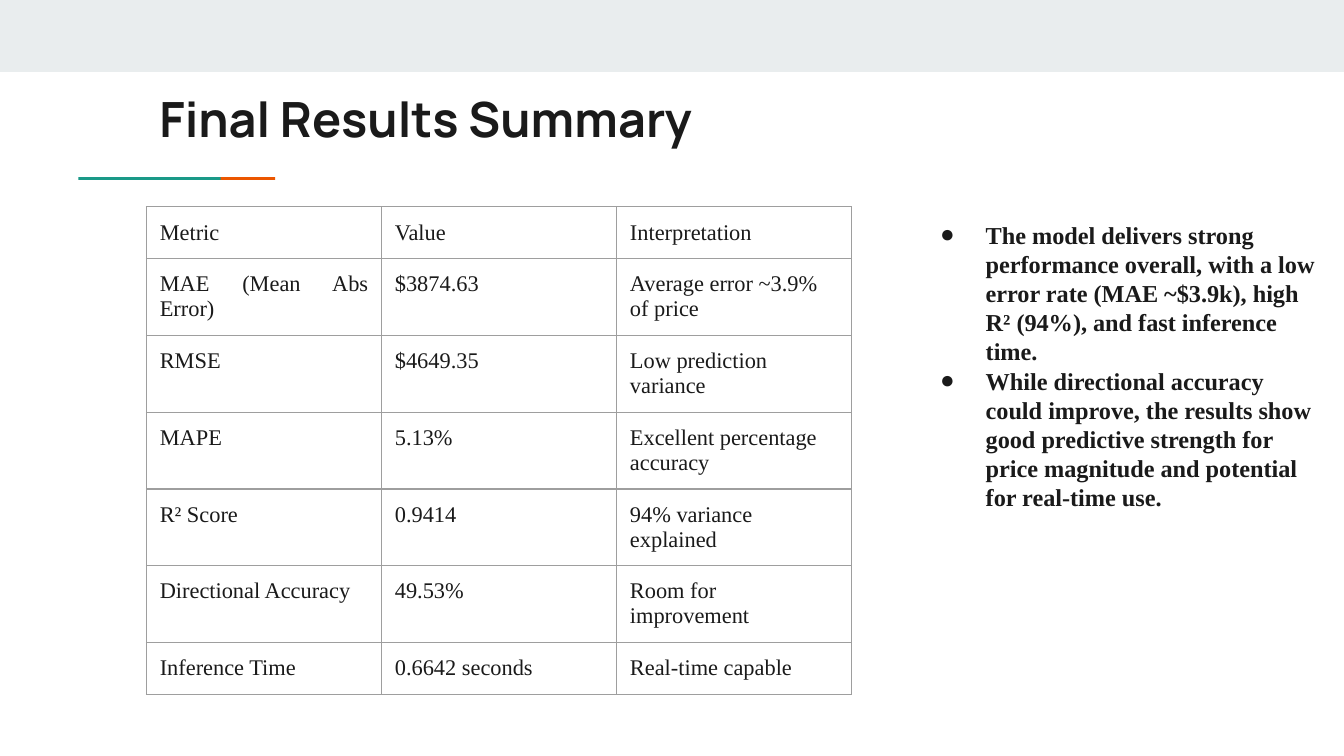
"""Build the final results summary slide with a metrics table and takeaways."""
from dataclasses import dataclass

from lxml.etree import SubElement
from pptx import Presentation
from pptx.dml.color import RGBColor
from pptx.enum.shapes import MSO_SHAPE as Shape
from pptx.enum.text import MSO_ANCHOR as Anchor, MSO_AUTO_SIZE as AutoSize, PP_ALIGN as Align
from pptx.oxml.ns import qn
from pptx.util import Cm, Pt

COLORS = {"band": "E9EDEE", "teal": "1A9988", "orange": "EB5600",
          "text": "1A1A1A", "border": "9E9E9E"}
TITLE_FONT = "Manrope"
BODY_FONT = "Times New Roman"
INSET = Cm(0.25)
CELL_BOTTOM_INSET = Cm(0.26)
TABLE_WIDTH = 13.33
ROW_HEIGHT = 0.71


@dataclass(frozen=True)
class Bar:
    """Filled rectangle, measured in centimetres."""
    left: float
    top: float
    width: float
    height: float
    color: str


@dataclass(frozen=True)
class Metric:
    """One row of the results table."""
    name: str
    value: str
    interpretation: str


BARS = [
    Bar(0, 0, 25.4, 1.36, "band"),
    Bar(2.51, 3.35, 2.69, 0.05, "orange"),
    Bar(1.48, 3.35, 2.69, 0.05, "teal"),
]
METRICS = [
    Metric("Metric", "Value", "Interpretation"),
    Metric("MAE (Mean Abs Error)", "$3874.63", "Average error ~3.9% of price"),
    Metric("RMSE", "$4649.35", "Low prediction variance"),
    Metric("MAPE", "5.13%", "Excellent percentage accuracy"),
    Metric("R² Score", "0.9414", "94% variance explained"),
    Metric("Directional Accuracy", "49.53%", "Room for improvement"),
    Metric("Inference Time", "0.6642 seconds", "Real-time capable"),
]
TAKEAWAYS = [
    "The model delivers strong performance overall, with a low error rate "
    "(MAE ~$3.9k), high R² (94%), and fast inference time.",
    "While directional accuracy could improve, the results show good predictive "
    "strength for price magnitude and potential for real-time use.",
]


def rgb(color: str) -> RGBColor:
    """Look up a named colour."""
    return RGBColor.from_string(COLORS[color])


def add_run(paragraph, text: str, font: str, size: float, bold: bool = False) -> None:
    """Append a formatted run."""
    run = paragraph.add_run()
    run.text = text
    run.font.name = font
    run.font.size = Pt(size)
    run.font.bold = bold
    run.font.color.rgb = rgb("text")


def set_insets(frame) -> None:
    """Give a text frame or table cell equal margins."""
    frame.margin_left = frame.margin_right = INSET
    frame.margin_top = frame.margin_bottom = INSET


def add_bar(slide, bar: Bar) -> None:
    """Draw a plain filled rectangle."""
    shape = slide.shapes.add_shape(
        Shape.RECTANGLE, Cm(bar.left), Cm(bar.top), Cm(bar.width), Cm(bar.height))
    shape.shadow.inherit = False
    shape.fill.solid()
    shape.fill.fore_color.rgb = rgb(bar.color)
    shape.line.fill.background()


def set_title(slide, text: str) -> None:
    """Place and fill the title placeholder."""
    title = slide.shapes.title
    title.left, title.top, title.width, title.height = Cm(0.86), Cm(0.84), Cm(14.38), Cm(2.77)
    frame = title.text_frame
    frame.auto_size = AutoSize.NONE
    frame.word_wrap = True
    frame.vertical_anchor = Anchor.MIDDLE
    set_insets(frame)
    paragraph = frame.paragraphs[0]
    paragraph.alignment = Align.CENTER
    add_run(paragraph, text, TITLE_FONT, 26, bold=True)


def set_borders(cell) -> None:
    """Outline all four sides of a cell."""
    properties = cell._tc.get_or_add_tcPr()
    for position, side in enumerate(("a:lnL", "a:lnR", "a:lnT", "a:lnB")):
        line = SubElement(properties, qn(side), w=str(Pt(0.75)))
        fill = SubElement(line, qn("a:solidFill"))
        SubElement(fill, qn("a:srgbClr"), val=COLORS["border"])
        properties.insert(position, line)


def add_metrics_table(slide, metrics: list[Metric]) -> None:
    """Draw the table of metrics."""
    table = slide.shapes.add_table(
        len(metrics), 3, Cm(2.77), Cm(3.91),
        Cm(TABLE_WIDTH), Cm(len(metrics) * ROW_HEIGHT)).table
    table.first_row = table.horz_banding = False
    for column in table.columns:
        column.width = Cm(TABLE_WIDTH / 3)
    for row_index, (row, metric) in enumerate(zip(table.rows, metrics)):
        row.height = Cm(ROW_HEIGHT)
        texts = (metric.name, metric.value, metric.interpretation)
        for column_index, (cell, text) in enumerate(zip(row.cells, texts)):
            cell.fill.background()
            set_borders(cell)
            set_insets(cell)
            cell.margin_bottom = CELL_BOTTOM_INSET
            paragraph = cell.text_frame.paragraphs[0]
            justified = row_index == 0 or column_index < 2
            paragraph.alignment = Align.JUSTIFY if justified else Align.LEFT
            add_run(paragraph, text, BODY_FONT, 12)


def set_bullet(paragraph) -> None:
    """Give a paragraph a hanging round bullet."""
    properties = paragraph._p.get_or_add_pPr()
    properties.set("marL", str(Cm(1.27)))
    properties.set("indent", str(Cm(-0.86)))
    color = SubElement(properties, qn("a:buClr"))
    SubElement(color, qn("a:srgbClr"), val=COLORS["text"])
    SubElement(properties, qn("a:buFont"), typeface=BODY_FONT)
    SubElement(properties, qn("a:buChar"), char="●")


def add_takeaways(slide, takeaways: list[str]) -> None:
    """Write the bulleted takeaways beside the table."""
    frame = slide.shapes.add_textbox(Cm(17.11), Cm(3.91), Cm(8.15), Cm(7.29)).text_frame
    frame.word_wrap = True
    set_insets(frame)
    for index, text in enumerate(takeaways):
        paragraph = frame.add_paragraph() if index else frame.paragraphs[0]
        set_bullet(paragraph)
        add_run(paragraph, text, BODY_FONT, 13, bold=True)


def main() -> None:
    """Assemble and save the slide."""
    presentation = Presentation()
    presentation.slide_width, presentation.slide_height = Cm(25.4), Cm(14.29)
    slide = presentation.slides.add_slide(presentation.slide_layouts[5])
    for bar in BARS:
        add_bar(slide, bar)
    set_title(slide, "Final Results Summary")
    add_metrics_table(slide, METRICS)
    add_takeaways(slide, TAKEAWAYS)
    presentation.save("out.pptx")


if __name__ == "__main__":
    main()
